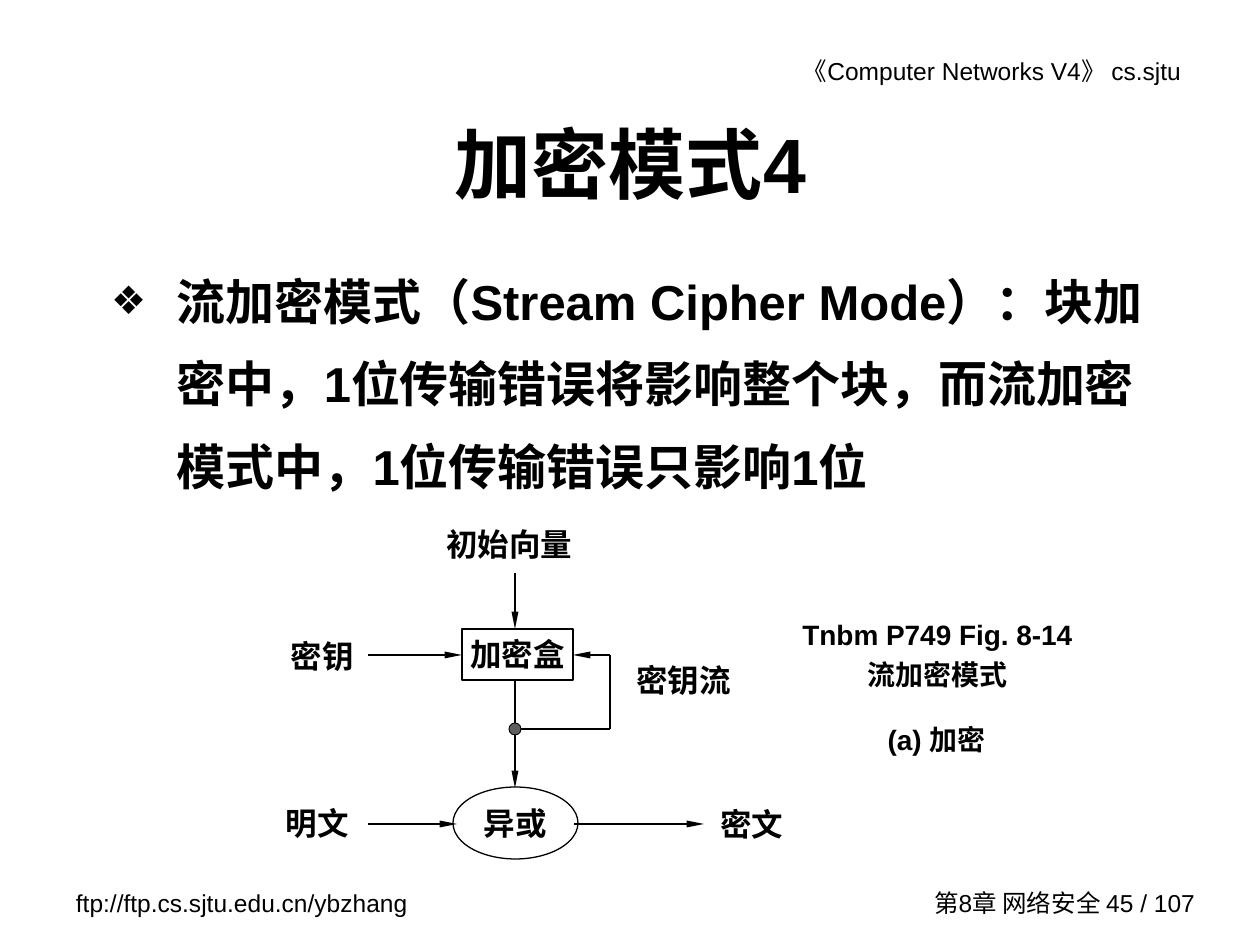
import pptx
import pptx.util
import pptx.dml.color
import pptx.enum.shapes
import pptx.enum.text
import pptx.oxml
import pptx.oxml.ns

PX = 914400 / 126
BLACK = pptx.dml.color.RGBColor(0, 0, 0)
GRAY = pptx.dml.color.RGBColor(0x5F, 0x5F, 0x5F)
FONT = "Arial"
SHAPES = pptx.enum.shapes.MSO_SHAPE
LEFT = pptx.enum.text.PP_ALIGN.LEFT
CENTER = pptx.enum.text.PP_ALIGN.CENTER
RIGHT = pptx.enum.text.PP_ALIGN.RIGHT
TOP = pptx.enum.text.MSO_ANCHOR.TOP
MIDDLE = pptx.enum.text.MSO_ANCHOR.MIDDLE


def emu(*lengths):
    return [pptx.util.Emu(round(length * PX)) for length in lengths]


def add_element(parent, tag, **attributes):
    element = pptx.oxml.parse_xml(f"<a:{tag} {pptx.oxml.ns.nsdecls('a')}/>")
    for name, value in attributes.items():
        element.set(name, value)
    parent.append(element)


def write_text(shape, text, size, bold=False, align=CENTER, anchor=TOP, side=13, wrap=True):
    text_frame = shape.text_frame
    text_frame.margin_left, text_frame.margin_right = emu(side, side)
    text_frame.margin_top, text_frame.margin_bottom = emu(6, 6)
    text_frame.word_wrap = wrap
    text_frame.vertical_anchor = anchor
    text_frame.text = text
    paragraph = text_frame.paragraphs[0]
    paragraph.alignment = align
    for run in paragraph.runs:
        run.font.name = FONT
        run.font.size = pptx.util.Pt(size)
        run.font.bold = bold
        run.font.color.rgb = BLACK
    return paragraph


def add_text(slide, box, text, size, **style):
    return write_text(slide.shapes.add_textbox(*emu(*box)), text, size, **style)


def add_outlined(slide, kind, box, fill=None, width=0.75):
    shape = slide.shapes.add_shape(kind, *emu(*box))
    shape.shadow.inherit = False
    if fill is None:
        shape.fill.background()
    else:
        shape.fill.solid()
        shape.fill.fore_color.rgb = fill
    shape.line.color.rgb = BLACK
    shape.line.width = pptx.util.Pt(width)
    return shape


def add_line(slide, start, end, arrow):
    connector = slide.shapes.add_connector(
        pptx.enum.shapes.MSO_CONNECTOR.STRAIGHT, *emu(*start, *end))
    connector.line.color.rgb = BLACK
    connector.line.width = pptx.util.Pt(0.75)
    if arrow:
        add_element(connector.line._get_or_add_ln(), "tailEnd",
                    type="triangle", w="sm", len="lg")
    add_element(connector._element.spPr, "effectLst")


def add_header_and_footer(slide, left, top, width, height):
    add_text(slide, (left + 595, top, 536, 43),
             "《Computer Networks V4》 cs.sjtu", 14, align=RIGHT)
    footer_top = top + height - 43
    add_text(slide, (left, footer_top, 368, 43),
             "ftp://ftp.cs.sjtu.edu.cn/ybzhang", 14, align=LEFT)
    add_text(slide, (left + width - 303, footer_top, 303, 42),
             "第8章 网络安全 45 / 107", 14, align=RIGHT, anchor=MIDDLE)


def add_title(slide, *box):
    add_text(slide, box, "加密模式4", 44, bold=True, anchor=MIDDLE)


def add_body(slide, *box):
    paragraph = add_text(
        slide, box,
        "流加密模式（Stream Cipher Mode）：块加密中，1位传输错误将影响整个块，"
        "而流加密模式中，1位传输错误只影响1位",
        28, bold=True, align=LEFT)
    paragraph.line_spacing = 1.4
    properties = paragraph._p.get_or_add_pPr()
    indent = emu(66)[0]
    properties.set("marL", str(indent))
    properties.set("indent", str(-indent))
    add_element(properties, "buSzPct", val="80000")
    add_element(properties, "buFont", typeface=FONT)
    add_element(properties, "buChar", char="❖")


def add_caption(slide, left, top, width, height):
    figure = add_text(slide, (left, top, width, 102),
                      "Tnbm P749 Fig. 8-14 流加密模式", 16, bold=True)
    figure.line_spacing = 1.2
    add_text(slide, (left + 84, top + height - 50, 145, 50), "(a) 加密", 16, bold=True)


def add_cipher_diagram(slide, left, top):
    axis, loop = 248, 343
    key_row, branch_row, xor_row = 136, 210, 305

    def place(x, y, *size):
        return (left + x, top + y, *size)

    labels = [
        ("初始向量", 143, 0, 199),
        ("密钥", 0, 112, 111),
        ("明文", 0, 279, 101),
        ("密文", 437, 280, 95),
        ("密钥流", loop, key_row, 147),
    ]
    for text, x, y, width in labels:
        add_text(slide, place(x, y, width, 50), text, 18, bold=True)

    cipher_box = add_outlined(slide, SHAPES.RECTANGLE, place(195, 110, 111, 51))
    write_text(cipher_box, "加密盒", 18, bold=True, side=0)
    xor = add_outlined(slide, SHAPES.OVAL, place(186, 268, 125, 72))
    write_text(xor, "异或", 18, bold=True, anchor=MIDDLE, wrap=False)

    lines = [
        ((axis, 54), (axis, 110), True),
        ((axis, 161), (axis, 269), True),
        ((101, key_row), (195, key_row), True),
        ((101, xor_row), (190, xor_row), True),
        ((307, xor_row), (437, xor_row), True),
        ((axis, branch_row), (loop, branch_row), False),
        ((loop, key_row), (loop, branch_row), False),
        ((loop, key_row), (306, key_row), True),
    ]
    for start, end, arrow in lines:
        add_line(slide, place(*start), place(*end), arrow)

    add_outlined(slide, SHAPES.OVAL, place(axis - 6, branch_row - 6, 12, 12), GRAY, 0.5)


def main():
    presentation = pptx.Presentation()
    presentation.slide_width, presentation.slide_height = emu(1260, 945)
    slide = presentation.slides.add_slide(presentation.slide_layouts[6])
    add_header_and_footer(slide, 63, 50, 1145, 875)
    add_title(slide, 95, 84, 1071, 158)
    add_body(slide, 98, 242, 1067, 262)
    add_caption(slide, 780, 605, 315, 162)
    add_cipher_diagram(slide, 267, 519)
    presentation.save("out.pptx")


if __name__ == "__main__":
    main()
